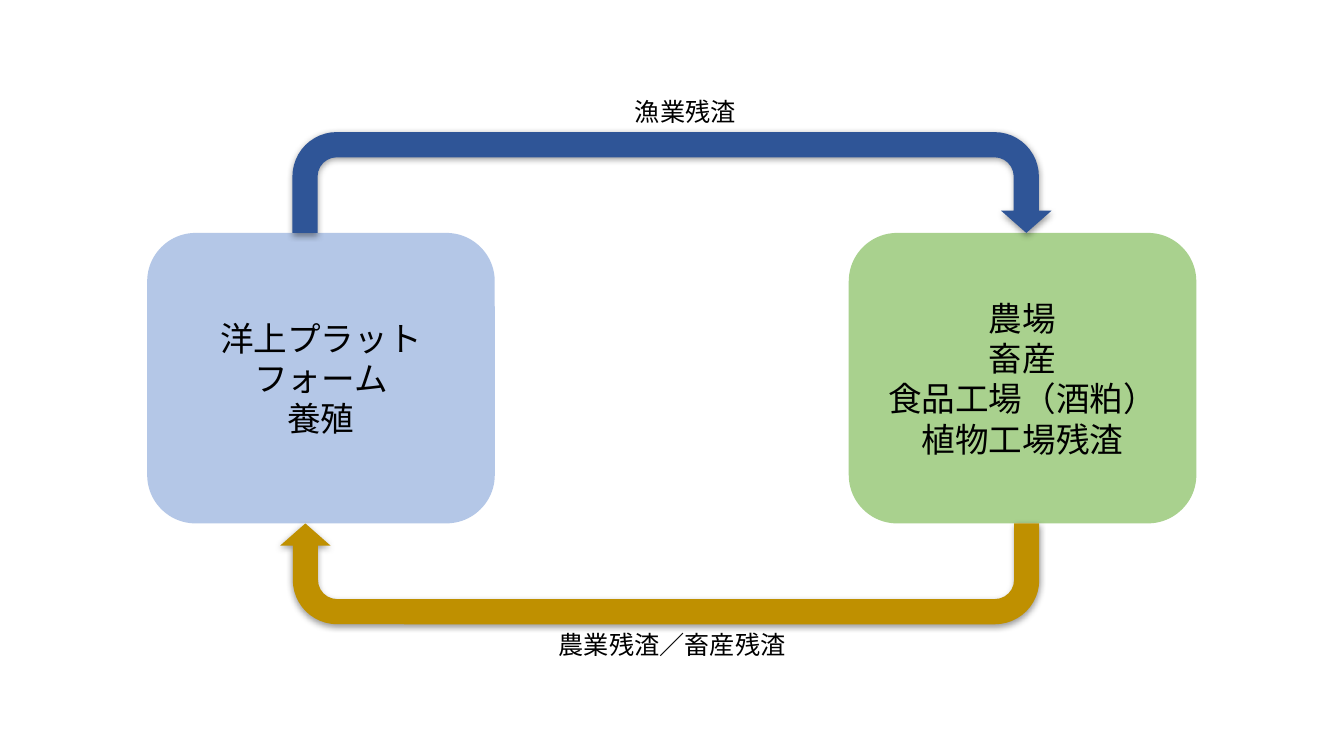
from lxml import etree
from pptx import Presentation
from pptx import util as u
from pptx.dml.color import RGBColor
from pptx.enum import lang, shapes, text
from pptx.oxml import parse_xml
from pptx.oxml.ns import nsdecls, qn

FONT = "Noto Sans CJK JP"
BLACK = RGBColor(0x00, 0x00, 0x00)
LIGHT_BLUE = RGBColor(0xB4, 0xC7, 0xE7)
LIGHT_GREEN = RGBColor(0xA9, 0xD1, 0x8E)
DARK_BLUE = RGBColor(0x2F, 0x55, 0x97)
GOLD = RGBColor(0xBF, 0x90, 0x00)

BOX_W, BOX_H, BOX_TOP = 8.76, 7.32, 5.87
ARROW_W, ARROW_H = 19.13, 2.54
LABEL_W, LABEL_H = 7.42, 1.02

SOFT_SHADOW = (
    f'<a:effectLst {nsdecls("a")}>'
    '<a:outerShdw blurRad="57150" dist="19050" dir="5400000" algn="ctr" rotWithShape="0">'
    '<a:srgbClr val="000000"><a:alpha val="40000"/></a:srgbClr>'
    '</a:outerShdw></a:effectLst>'
)


def set_text(sp, lines, size):
    """Write one centred paragraph per line, in the Latin and East Asian font."""
    tf = sp.text_frame
    tf.word_wrap = True
    tf.text = "\n".join(lines)
    for p in tf.paragraphs:
        p.alignment = text.PP_ALIGN.CENTER
        for r in p.runs:
            r.font.size = u.Pt(size)
            r.font.name = FONT
            r.font.color.rgb = BLACK
            r.font.language_id = lang.MSO_LANGUAGE_ID.JAPANESE
            etree.SubElement(r.font._element, qn("a:ea"), typeface=FONT)


def add_filled(s, kind, left, top, width, height, color):
    sp = s.shapes.add_shape(kind, u.Cm(left), u.Cm(top), u.Cm(width), u.Cm(height))
    sp.shadow.inherit = False
    sp.fill.solid()
    sp.fill.fore_color.rgb = color
    sp.line.fill.background()
    return sp


def add_site(s, left, color, lines):
    sp = add_filled(s, shapes.MSO_SHAPE.ROUNDED_RECTANGLE,
                    left, BOX_TOP, BOX_W, BOX_H, color)
    sp.text_frame.vertical_anchor = text.MSO_ANCHOR.MIDDLE
    set_text(sp, lines, 24)


def add_flow(s, left, top, color, rotation=0):
    sp = add_filled(s, shapes.MSO_SHAPE.U_TURN_ARROW,
                    left, top, ARROW_W, ARROW_H, color)
    sp.rotation = rotation
    for i, value in enumerate((0.25, 0.25, 0.22, 0.44, 1)):
        sp.adjustments[i] = value
    sp_pr = sp._element.spPr
    sp_pr.replace(sp_pr.find(qn("a:effectLst")), parse_xml(SOFT_SHADOW))


def add_label(s, left, top, label):
    sp = s.shapes.add_textbox(u.Cm(left), u.Cm(top), u.Cm(LABEL_W), u.Cm(LABEL_H))
    set_text(sp, [label], 18)
    sp.text_frame.auto_size = text.MSO_AUTO_SIZE.SHAPE_TO_FIT_TEXT


def main():
    prs = Presentation()
    prs.slide_width, prs.slide_height = u.Cm(33.87), u.Cm(19.05)
    s = prs.slides.add_slide(prs.slide_layouts[6])

    add_site(s, 21.39, LIGHT_GREEN, ["農場", "畜産", "食品工場（酒粕）", "植物工場残渣"])
    add_site(s, 3.71, LIGHT_BLUE, ["洋上プラットフォーム", "養殖"])

    box_bottom = BOX_TOP + BOX_H
    add_flow(s, 7.37, BOX_TOP - ARROW_H, DARK_BLUE)
    add_flow(s, 7.06, box_bottom, GOLD, rotation=180)

    add_label(s, 13.23, box_bottom + ARROW_H, "農業残渣／畜産残渣")
    add_label(s, 13.56, BOX_TOP - ARROW_H - LABEL_H, "漁業残渣")

    prs.save("out.pptx")


if __name__ == "__main__":
    main()
